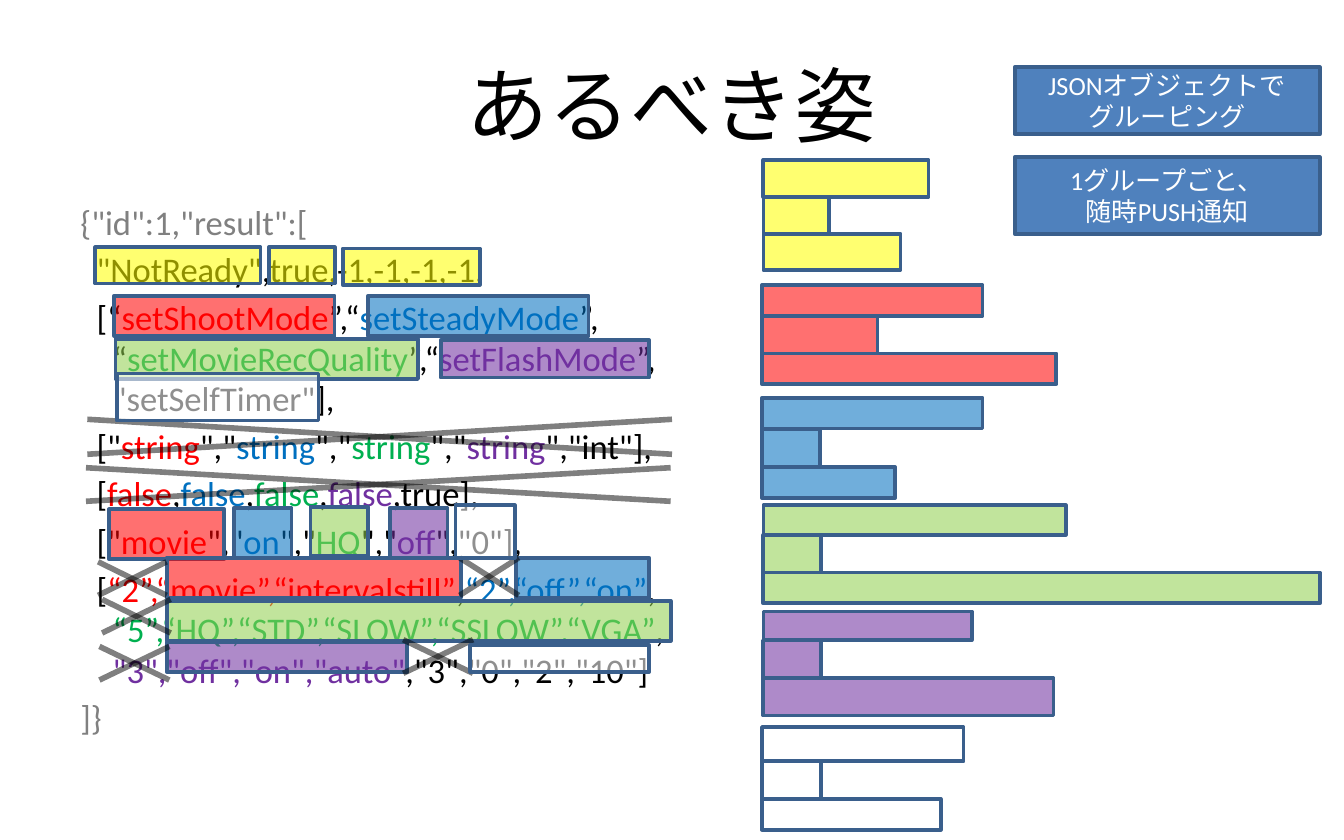
from pptx import Presentation
from pptx import util as u
from pptx.dml.color import RGBColor
from pptx.enum import shapes, text
from pptx.oxml.ns import qn
from lxml import etree

# Grid: 100 columns by 62.5 rows, each cell 0.1 inch
CELL = 0.1
COLS, ROWS = 100, 62.5
EDGE = "3A5F8C"
INKS = {"k": "000000", "s": "808080", "r": "FF0000", "b": "0070C0",
        "g": "00B050", "p": "7030A0"}

# Each "~" starts a run with its ink key; "~n" breaks the line
CODE = [
    (0, 0, '~s{"id":1,"result":['),
    (1.2, 0, '~k"NotReady",true,-1,-1,-1,-1,'),
    (2.4, -1.2, '~k[“~rsetShootMode~k”,“~bsetSteadyMode~k”,~n~k“'
     '~gsetMovieRecQuality~k”,“~psetFlashMode~k”,~n~k"setSelfTimer"],'),
    (1.2, 0, '~k["~rstring~k","~bstring~k","~gstring~k","~pstring~k","int"],'),
    (1.2, 0, '~k[~rfalse~k,~bfalse~k,~gfalse~k,~pfalse~k,true],'),
    (1.2, 0, '~k["~rmovie~k","~bon~k","~gHQ~k","~poff~k","0"],'),
    (2.4, -1.2, '~k[~r“2”,“movie”,“intervalstill”~k,~b“2”,“off”,“on”~k,~n'
     '~g“5”,“HQ”,“STD”,“SLOW”,“SSLOW”,“VGA”~k,~n'
     '~p"3","off","on","auto"~k,"3","0","2","10"]'),
    (0, 0, '~s]}'),
]

# Marks over the code: name, current value, choices
MARKS = {
    "FF0000": [(3.5, 7.4, 16.4, 3), (3.1, 23.3, 8.6, 3.7), (7.4, 26.9, 21.9, 3)],
    "0070C0": [(22.4, 7.4, 16.4, 3), (12.4, 23.2, 4.3, 3.7), (33.4, 26.9, 9.9, 3)],
    "92D050": [(3.6, 10.6, 22.5, 3), (18.1, 23.1, 4.3, 3.7), (7.4, 30.1, 37.5, 3)],
    "7030A0": [(27.8, 10.7, 15.5, 2.8), (24, 23.2, 4.3, 3.7), (7.4, 33.2, 17.9, 2.2)],
}
TOP_MARKS = {
    "FFFFFF": [(3.7, 13.2, 15, 3.5), (28.9, 23, 4.4, 3.9), (30, 33.4, 13.3, 2)],
    "FFFF00": [(2.1, 3.8, 12.3, 2.7), (15, 3.8, 4.9, 2.7), (20.5, 3.9, 10.2, 2.7)],
}
CROSSES = [(1.5, 16.6, 43.5, 2.6), (1.4, 20.2, 43.5, 2.5), (2.3, 27.2, 5.1, 2.5),
           (29.2, 26.9, 4.4, 2.8), (2.6, 30, 5.1, 2.5), (2.4, 33.5, 5.2, 2.5),
           (25, 33, 5.2, 2.5)]

# Stacks: colour, left, top, widths, heights
STACKS = [
    ("FFFF00", 0.1, 0, (12.3, 4.9, 10.2), (2.75, 2.75, 2.7)),
    ("FF0000", 0, 9.3, (16.4, 8.6, 21.9), (2.3, 2.8, 2.3)),
    ("0070C0", 0, 17.7, (16.4, 4.3, 9.9), (2.3, 2.85, 2.3)),
    ("92D050", 0.1, 25.7, (22.5, 4.3, 41.4), (2.2, 2.8, 2.3)),
    ("7030A0", 0.1, 33.6, (15.5, 4.3, 21.6), (2.15, 2.8, 2.8)),
    ("FFFFFF", 0, 42.2, (15, 4.4, 13.3), (2.55, 2.8, 2.3)),
]


def grid(*cells):
    return [u.Inches(c * CELL) for c in cells]


def paint(spot, tone, alpha=None):
    spot.rgb = RGBColor.from_string(tone)
    if alpha:
        node = spot._xFill.find(qn("a:srgbClr"))
        etree.SubElement(node, qn("a:alpha")).set("val", str(alpha * 1000))


def style(item, **vals):
    for key, val in vals.items():
        setattr(item, key, val)


def write(para, words, tone, size):
    run = para.add_run()
    run.text = words
    style(run.font, size=u.Pt(size), name="Calibri")
    paint(run.font.color, tone)


def block(slide, box, tone, alpha=None):
    rect = slide.shapes.add_shape(shapes.MSO_SHAPE.RECTANGLE, *grid(*box))
    rect.shadow.inherit = False
    rect.fill.solid()
    paint(rect.fill.fore_color, tone, alpha) if not alpha else tint(rect, tone, alpha)
    rect.line.width = u.Pt(2)
    paint(rect.line.color, EDGE)
    return rect


def tint(shape, tone, alpha):
    paint(shape.fill.fore_color, tone)
    node = shape.fill._xPr.find(qn("a:solidFill"))[0]
    etree.SubElement(node, qn("a:alpha")).set("val", str(alpha * 1000))


def cross(slide, x, y, w, h):
    for top, end in ((y, y + h), (y + h, y)):
        line = slide.shapes.add_connector(
            shapes.MSO_CONNECTOR.STRAIGHT, *grid(x, top, x + w, end))
        line.line.width = u.Pt(3)
        paint(line.line.color, INKS["k"])
        node = line.line._ln.find(qn("a:solidFill"))[0]
        etree.SubElement(node, qn("a:alpha")).set("val", "50000")
        etree.SubElement(line._element.spPr, qn("a:effectLst"))


def head(slide, box, words):
    title = slide.shapes.title
    style(title, **dict(zip(("left", "top", "width", "height"), grid(*box))))
    style(title.text_frame, vertical_anchor=text.MSO_ANCHOR.MIDDLE)
    para = title.text_frame.paragraphs[0]
    para.alignment = text.PP_ALIGN.CENTER
    write(para, words, INKS["k"], 44)


def listing(slide, box):
    frame = slide.shapes.add_textbox(*grid(*box)).text_frame
    frame.word_wrap = True
    for i, (left, first, line) in enumerate(CODE):
        para = frame.add_paragraph() if i else frame.paragraphs[0]
        style(para, space_before=u.Pt(3.7), line_spacing=0.98)
        props = para._p.get_or_add_pPr()
        for key, val in (("marL", left), ("indent", first)):
            props.set(key, str(grid(val)[0]))
        for part in line.split("~")[1:]:
            if part == "n":
                para.add_line_break()
            else:
                write(para, part[1:], INKS[part[0]], 18.5)


def marks(slide, box, sets):
    for tone, spots in sets.items():
        for x, y, w, h in spots:
            block(slide, (box[0] + x, box[1] + y, w, h), tone, 56)


def strikes(slide, box):
    for x, y, w, h in CROSSES:
        cross(slide, box[0] + x, box[1] + y, w, h)


def stacks(slide, box):
    for tone, x, y, wides, highs in STACKS:
        for w, h in zip(wides, highs):
            block(slide, (box[0] + x, box[1] + y, w, h), tone, 56)
            y += h


def badge(slide, box, lines):
    frame = block(slide, box, "4F81BD").text_frame
    style(frame, word_wrap=True, vertical_anchor=text.MSO_ANCHOR.MIDDLE)
    for i, words in enumerate(lines):
        para = frame.add_paragraph() if i else frame.paragraphs[0]
        para.alignment = text.PP_ALIGN.CENTER
        write(para, words, "FFFFFF", 14)


deck = Presentation()
style(deck, **dict(zip(("slide_width", "slide_height"), grid(COLS, ROWS))))
slide = deck.slides.add_slide(deck.slide_layouts.get_by_name("Title Only"))

# Title
head(slide, (5, 2.5, 90, 10.4), "あるべき姿")

# Code with its marks and strikes
panel = (5, 14.6, 48.1, 41.2)
listing(slide, panel)
marks(slide, panel, MARKS)
strikes(slide, panel)
marks(slide, panel, TOP_MARKS)

# Grouped blocks
stacks(slide, (56.7, 11.9))

# Badges
badge(slide, (75.5, 5, 22.7, 5), ["JSONオブジェクトで", "グルーピング"])
badge(slide, (75.5, 11.7, 22.7, 5.7), ["1グループごと、", "随時PUSH通知"])

deck.save("out.pptx")
